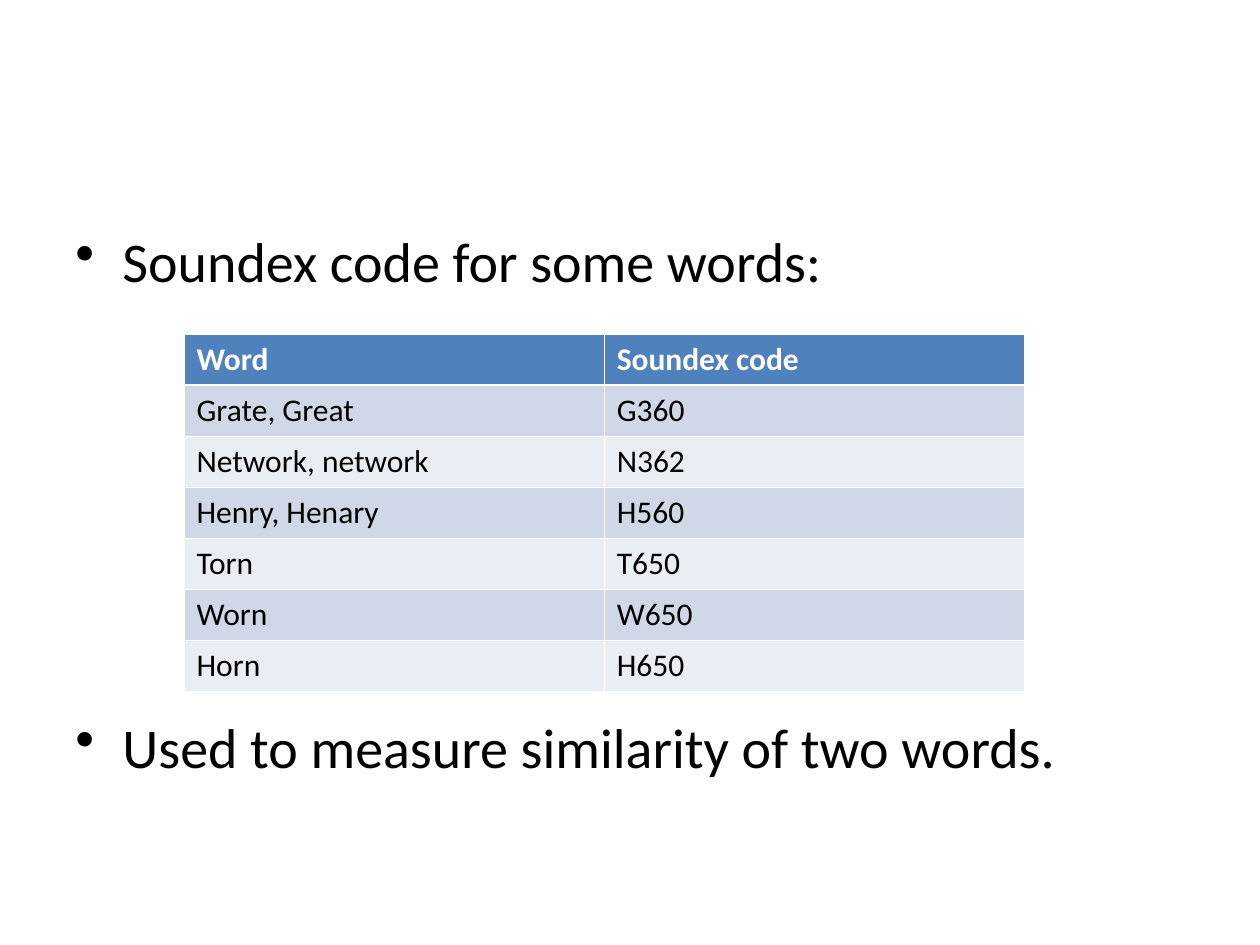
import pptx
import pptx.util
import pptx.dml.color
import pptx.oxml
import pptx.oxml.ns
from pptx.util import Cm, Pt

# Content
POINTS = ["Soundex code for some words:",
          "Used to measure similarity of two words."]
ROWS = [
    ("Word", "Soundex code"),
    ("Grate, Great", "G360"),
    ("Network, network", "N362"),
    ("Henry, Henary", "H560"),
    ("Torn", "T650"),
    ("Worn", "W650"),
    ("Horn", "H650"),
]
HEX = {"text": "000000", "white": "FFFFFF", "head": "4F81BD",
       "odd": "D0D8E8", "even": "E9EDF4"}
FONT = "Calibri"
GAP = Pt(239)  # room for the table between the two points
COL, ROW = Cm(8.47), Cm(1.03)
THIN, THICK = Pt(0.45), Pt(1.47)


def rgb(name):
    return pptx.dml.color.RGBColor.from_string(HEX[name])


def style(para, size, color, bold=False):
    font = para.font
    font.name, font.size, font.bold = FONT, Pt(size), bold
    font.color.rgb = rgb(color)


def bullet(para):
    props = para._p.get_or_add_pPr()
    props.set("marL", str(Cm(0.95)))
    props.set("indent", str(-Cm(0.95)))
    mark = pptx.oxml.ns.qn("a:buChar")
    props.append(props.makeelement(mark, {"char": "•"}))


def border(cell, side, width):
    line = pptx.oxml.parse_xml(
        f'<a:{side} {pptx.oxml.ns.nsdecls("a")} w="{width}"><a:solidFill>'
        f'<a:srgbClr val="{HEX["white"]}"/></a:solidFill></a:{side}>')
    return line


def frame(cell, row):
    # Borders come before the fill in the cell properties
    props = cell._tc.get_or_add_tcPr()
    widths = {"lnL": THIN, "lnR": THIN,
              "lnT": THICK if row == 1 else THIN,
              "lnB": THICK if row == 0 else THIN}
    for i, (side, width) in enumerate(widths.items()):
        props.insert(i, border(cell, side, width))


def main():
    deck = pptx.Presentation()
    deck.slide_width, deck.slide_height = Cm(25.4), Cm(19.05)
    slide = deck.slides.add_slide(deck.slide_layouts[6])

    # Bullet points above and below the table
    box = slide.shapes.add_textbox(Cm(1.27), Cm(4.45), Cm(22.86), Cm(12.57))
    text = box.text_frame
    text.word_wrap = True
    for i, point in enumerate(POINTS):
        para = text.add_paragraph() if i else text.paragraphs[0]
        para.text = point
        if i:
            para.space_before = GAP
        bullet(para)
        style(para, 32, "text")

    # Table of codes
    cols = len(ROWS[0])
    table = slide.shapes.add_table(
        len(ROWS), cols, Cm(3.71), Cm(6.73),
        COL * cols, ROW * len(ROWS)).table
    for r, row in enumerate(ROWS):
        fill = "head" if r == 0 else "odd" if r % 2 else "even"
        for c, word in enumerate(row):
            cell = table.cell(r, c)
            cell.text = word
            cell.fill.solid()
            cell.fill.fore_color.rgb = rgb(fill)
            frame(cell, r)
            style(cell.text_frame.paragraphs[0], 18,
                  "text" if r else "white", r == 0)

    deck.save("out.pptx")


if __name__ == "__main__":
    main()
